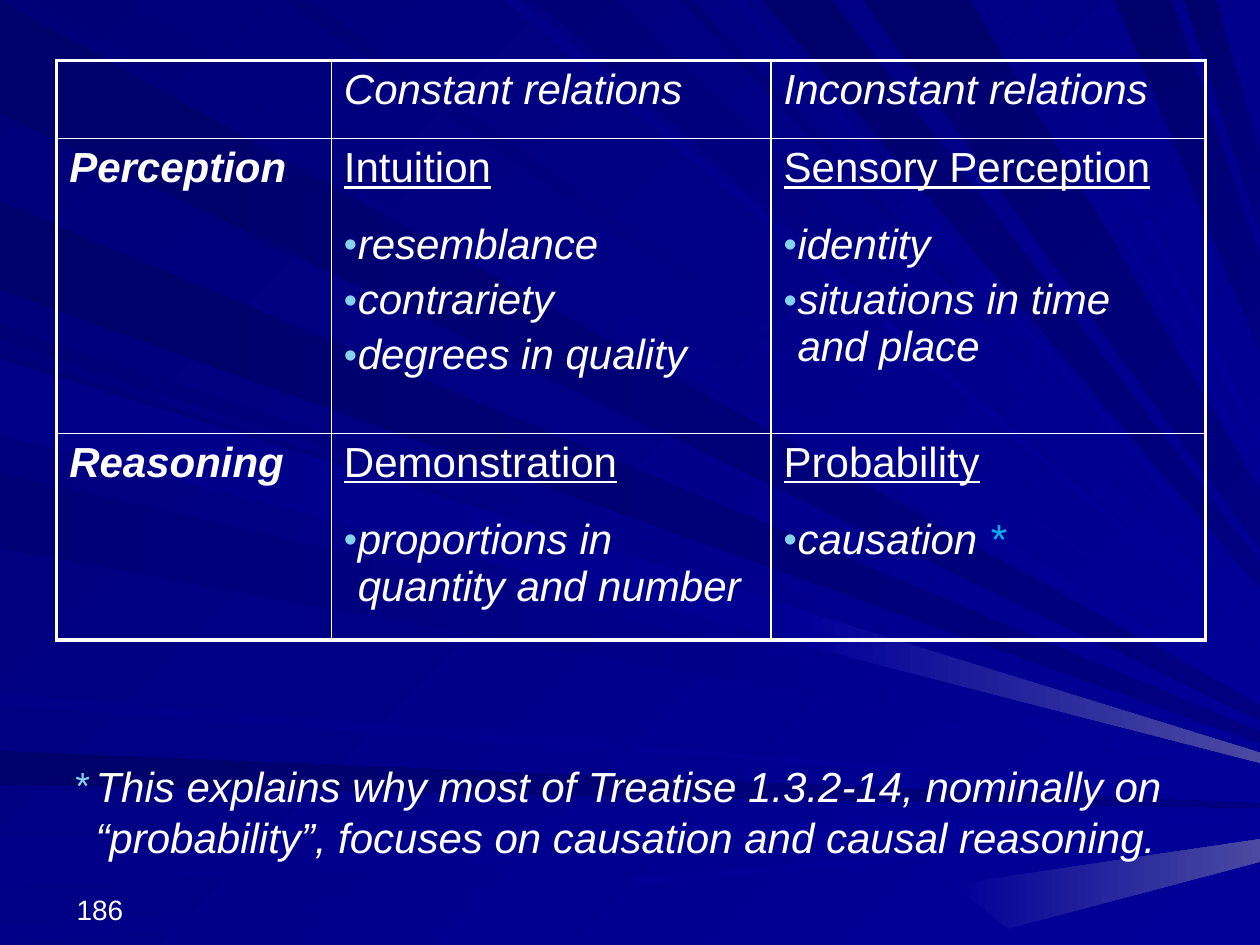
from dataclasses import dataclass

from lxml import etree
from pptx import Presentation
from pptx.dml.color import RGBColor
from pptx.enum.text import MSO_ANCHOR
from pptx.oxml.ns import qn
from pptx.util import Inches, Pt

BOTTOM, TOP = MSO_ANCHOR.BOTTOM, MSO_ANCHOR.TOP
BLANK_LAYOUT = 6
SLIDE_WIDTH, SLIDE_HEIGHT = 10, 7.5
VANISHING_X, VANISHING_Y = 11.5, 6.44


@dataclass(frozen=True)
class Theme:
    font: str = "Arial"
    text: str = "FFFFFF"
    bullet: str = "86D1EC"
    accent: str = "00B0F0"
    back: tuple = ("000078", "000099")
    deep: tuple = ("00006B", "000080")
    dim: tuple = ("000076", "000099")
    soft: tuple = ("000088", "000099")
    glow: tuple = ("000099", "4A4AA1")
    body_size: int = 24
    number_size: int = 16
    paragraph_gap: float = 4.8
    list_gap: float = 17
    outer_line: float = 2.25
    inner_line: float = 1


THEME = Theme()

# Spans where the background rays leave the left and top edges
LEFT_RAYS = [
    (THEME.deep, [(0, 0.9), (1.6, 2.3), (5.96, 6.23)]),
    (THEME.dim, [(2.58, 2.7), (2.8, 3.4), (3.75, 4.35)]),
    (THEME.soft, [(2.85, 3.45), (5.5, 5.6), (6.65, 7.05), (7.35, 7.5)]),
]
TOP_RAYS = [
    (THEME.dim, [(0.25, 1), (2.25, 2.45), (4.25, 4.9), (5.4, 5.5)]),
    (THEME.deep, [(6.05, 6.6), (6.85, 7.7), (8.85, 9.3), (9.4, 9.65)]),
    (THEME.soft, [(4, 4.15), (5.8, 5.9), (7.85, 7.9), (8.15, 8.25)]),
]
GLOWING_RAYS = [((6.37, 4.85), (6.33, 5.11)), ((7.56, 7.02), (8, 7.37))]

# Table content: row label, then a heading and its relations per column
COLUMN_HEADS = ["Constant relations", "Inconstant relations"]
FACULTIES = [
    ("Perception", [
        ("Intuition", ["resemblance", "contrariety", "degrees in quality"]),
        ("Sensory Perception", ["identity", "situations in time\nand place"])]),
    ("Reasoning", [
        ("Demonstration", ["proportions in\nquantity and number"]),
        ("Probability", ["causation *"])]),
]
FOOTNOTE = ("This explains why most of Treatise 1.3.2-14, nominally on “probability”, "
            "focuses on causation and causal reasoning.")


def write(frame, text, size=THEME.body_size, bold=False, italic=True, underline=False,
          gap=THEME.paragraph_gap, bullet=None, hang=0.11):
    """Append a paragraph; a newline breaks the line and an asterisk is accented."""
    paragraph = frame.paragraphs[0]
    if paragraph.runs:
        paragraph = frame.add_paragraph()
    paragraph.space_before = Pt(gap)
    for index, line in enumerate(text.split("\n")):
        if index:
            paragraph.add_line_break()
        words, mark, _ = line.partition("*")
        for part, color in ((words, THEME.text), (mark, THEME.accent)):
            if part:
                run = paragraph.add_run()
                run.text = part
                font = run.font
                font.name, font.size = THEME.font, Pt(size)
                font.bold, font.italic, font.underline = bold, italic, underline
                font.color.rgb = RGBColor.from_string(color)
    if bullet:
        props = paragraph._p.get_or_add_pPr()
        props.set("marL", str(Inches(hang)))
        props.set("indent", str(-Inches(hang)))
        color = etree.SubElement(props, qn("a:buClr"))
        etree.SubElement(color, qn("a:srgbClr"), val=THEME.bullet)
        etree.SubElement(props, qn("a:buSzPct"), val="90000")
        etree.SubElement(props, qn("a:buFont"), typeface=THEME.font)
        etree.SubElement(props, qn("a:buChar"), char=bullet)


def ray_tip(x, y):
    """Where the line from a point to the vanishing point meets the right edge."""
    share = (SLIDE_WIDTH - x) / (VANISHING_X - x)
    return SLIDE_WIDTH, y + share * (VANISHING_Y - y)


class SlideBuilder:
    def __init__(self, slide, theme):
        self.slide, self.theme = slide, theme

    def paint(self, fill, colors, angle):
        fill.gradient()
        fill.gradient_angle = -angle % 360
        for stop, color in zip(fill.gradient_stops, colors):
            stop.color.rgb = RGBColor.from_string(color)

    def ray(self, start, end, colors, angle):
        corners = [start, end, ray_tip(*end), ray_tip(*start)]
        first, *rest = [(Inches(x), Inches(y)) for x, y in corners]
        builder = self.slide.shapes.build_freeform(*first)
        builder.add_line_segments(rest, close=True)
        shape = builder.convert_to_shape()
        shape.shadow.inherit = False
        shape.line.fill.background()
        self.paint(shape.fill, colors, angle)

    def text(self, left, top, width, height, text, anchor=TOP, **style):
        box = self.slide.shapes.add_textbox(*map(Inches, (left, top, width, height)))
        frame = box.text_frame
        frame.word_wrap, frame.vertical_anchor = True, anchor
        write(frame, text, **style)

    def table(self, left, top, widths, heights):
        size = (left, top, sum(widths), sum(heights))
        table = self.slide.shapes.add_table(
            len(heights), len(widths), *map(Inches, size)).table
        table.first_row = table.horz_banding = False
        for column, width in zip(table.columns, widths):
            column.width = Inches(width)
        for row, height in zip(table.rows, heights):
            row.height = Inches(height)
        last_row, last_column = len(heights) - 1, len(widths) - 1
        for r in range(len(heights)):
            for c in range(len(widths)):
                outer = {"lnL": c == 0, "lnR": c == last_column,
                         "lnT": r == 0, "lnB": r == last_row}
                self.borders(table.cell(r, c), outer)
        return table

    def borders(self, cell, outer):
        cell.fill.background()
        props = cell._tc.get_or_add_tcPr()
        for index, (side, is_outer) in enumerate(outer.items()):
            width = self.theme.outer_line if is_outer else self.theme.inner_line
            line = etree.Element(qn(f"a:{side}"), w=str(Pt(width)))
            fill = etree.SubElement(line, qn("a:solidFill"))
            etree.SubElement(fill, qn("a:srgbClr"), val=self.theme.text)
            props.insert(index, line)


def main():
    deck = Presentation()
    deck.slide_width, deck.slide_height = Inches(SLIDE_WIDTH), Inches(SLIDE_HEIGHT)
    slide = deck.slides.add_slide(deck.slide_layouts[BLANK_LAYOUT])
    builder = SlideBuilder(slide, THEME)

    # Background
    builder.paint(slide.background.fill, THEME.back, 45)
    for colors, spans in LEFT_RAYS:
        for upper, lower in spans:
            builder.ray((0, upper), (0, lower), colors, 0)
    for colors, spans in TOP_RAYS:
        for near, far in spans:
            builder.ray((near, 0), (far, 0), colors, 45)
    for start, end in GLOWING_RAYS:
        builder.ray(start, end, THEME.glow, 0)

    # Slide number
    builder.text(0.51, 6.9, 2.33, 0.5, "186", anchor=BOTTOM,
                 size=THEME.number_size, italic=False, gap=0)

    # Table of relations
    relations = builder.table(0.45, 0.48, [2.18, 3.49, 3.45], [0.62, 2.34, 1.64])
    for column, head in enumerate(COLUMN_HEADS, 1):
        write(relations.cell(0, column).text_frame, head)
    for row, (faculty, groups) in enumerate(FACULTIES, 1):
        write(relations.cell(row, 0).text_frame, faculty, bold=True)
        for column, (heading, items) in enumerate(groups, 1):
            frame = relations.cell(row, column).text_frame
            write(frame, heading, italic=False, underline=True)
            for index, item in enumerate(items):
                gap = THEME.paragraph_gap if index else THEME.list_gap
                write(frame, item, bullet="•", gap=gap)

    # Footnote
    builder.text(0.5, 5.99, 9.15, 1.02, FOOTNOTE, bullet="*", hang=0.16)

    deck.save("out.pptx")


if __name__ == "__main__":
    main()
